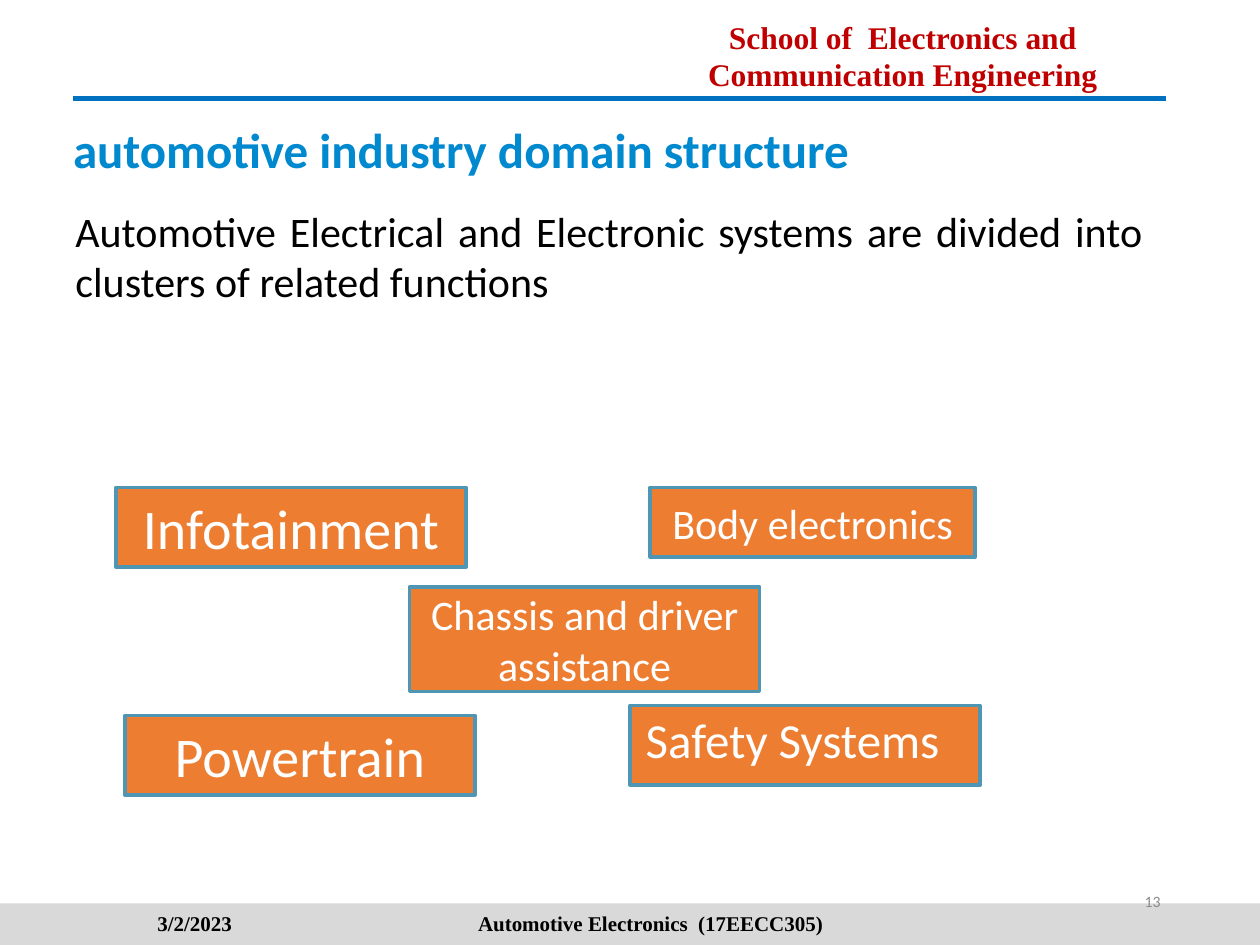
from dataclasses import dataclass

from lxml.etree import SubElement
from pptx import Presentation
from pptx.dml.color import RGBColor
from pptx.enum.shapes import MSO_CONNECTOR, MSO_SHAPE
from pptx.enum.text import MSO_ANCHOR, PP_ALIGN
from pptx.oxml.ns import qn
from pptx.util import Inches, Pt

COLUMNS, ROWS = 100, 75
SLIDE_WIDTH, SLIDE_HEIGHT = Inches(10), Inches(7.5)


@dataclass(frozen=True)
class Theme:
    """Colours, fonts and type sizes of the slide."""
    school: str = "C00000"
    rule: str = "0070C0"
    band: str = "D9D9D9"
    title: str = "0089CF"
    tile: str = "ED7D31"
    tile_edge: str = "4F96B4"
    ink: str = "000000"
    paper: str = "FFFFFF"
    muted: str = "8C8C8C"
    sans: str = "Calibri"
    serif: str = "Times New Roman"
    number_size: float = 9
    footer_size: float = 12
    school_size: float = 18
    body_size: float = 24
    title_size: float = 28
    large_size: float = 32


THEME = Theme()


@dataclass(frozen=True)
class Box:
    """A rectangle in grid columns and rows."""
    left: float
    top: float
    width: float
    height: float

    def inside(self, left, top, width, height):
        """Return a box offset from this one's top left corner."""
        return Box(self.left + left, self.top + top, width, height)

    def lengths(self):
        """Return left, top, width and height as slide lengths."""
        column, row = SLIDE_WIDTH / COLUMNS, SLIDE_HEIGHT / ROWS
        return (round(self.left * column), round(self.top * row),
                round(self.width * column), round(self.height * row))


def write(shape, text, size, color, font=THEME.sans, bold=False,
          align=PP_ALIGN.LEFT, anchor=MSO_ANCHOR.TOP, margins=(0.1, 0.05, 0.1, 0.05)):
    """Set and format the single paragraph of a shape."""
    frame = shape.text_frame
    frame.word_wrap = True
    frame.vertical_anchor = anchor
    (frame.margin_left, frame.margin_top,
     frame.margin_right, frame.margin_bottom) = map(Inches, margins)
    frame.text = text
    para = frame.paragraphs[0]
    para.alignment = align
    for span in para.runs:
        span.font.name = font
        span.font.size = Pt(size)
        span.font.bold = bold
        span.font.color.rgb = RGBColor.from_string(color)
    return para


def add_text(page, box, text, size, color, **style):
    """Add a text box and return its paragraph."""
    return write(page.shapes.add_textbox(*box.lengths()), text, size, color, **style)


def add_panel(page, box, fill, edge=None):
    """Add a flat rectangle with an optional outline."""
    panel = page.shapes.add_shape(MSO_SHAPE.RECTANGLE, *box.lengths())
    panel.shadow.inherit = False
    panel.fill.solid()
    panel.fill.fore_color.rgb = RGBColor.from_string(fill)
    if edge:
        panel.line.color.rgb = RGBColor.from_string(edge)
        panel.line.width = Pt(2)
    else:
        panel.line.fill.background()
    return panel


def add_header(page, box):
    """Place the school name above a rule along the box's lower edge."""
    add_text(page, box.inside(44.2, 0, 43.3, 6.9),
             "School of  Electronics and Communication Engineering",
             THEME.school_size, THEME.school, font=THEME.serif, bold=True,
             align=PP_ALIGN.CENTER)
    left, top, width, height = box.lengths()
    rule = page.shapes.add_connector(MSO_CONNECTOR.STRAIGHT, left, top + height,
                                     left + width, top + height)
    rule.line.color.rgb = RGBColor.from_string(THEME.rule)
    rule.line.width = Pt(3)
    SubElement(rule.element.spPr, qn("a:effectLst"))


def add_footer(page, box):
    """Place the band with date and course, and the page number."""
    add_panel(page, box, THEME.band)
    labels = [("3/2/2023", 1.7, 27.5),
              ("Automotive Electronics  (17EECC305)", 33.3, 36.7)]
    for text, left, width in labels:
        add_text(page, box.inside(left, -0.4, width, 4), text,
                 THEME.footer_size, THEME.ink, font=THEME.serif, bold=True,
                 align=PP_ALIGN.CENTER, anchor=MSO_ANCHOR.MIDDLE)
    add_text(page, box.inside(70.6, -2.2, 22.5, 4), "13",
             THEME.number_size, THEME.muted,
             align=PP_ALIGN.RIGHT, anchor=MSO_ANCHOR.MIDDLE)


def add_statement(page, box):
    """Place the title and the sentence below it."""
    title = add_text(page, box.inside(0.8, 0, 68.3, 8),
                     "automotive industry domain structure",
                     THEME.title_size, THEME.title, bold=True, margins=(0, 0, 0, 0))
    title.line_spacing = 0.9
    add_text(page, box.inside(0, 5.8, box.width, 9.1),
             "Automotive Electrical and Electronic systems are divided into "
             "clusters of related functions",
             THEME.body_size, THEME.ink, align=PP_ALIGN.JUSTIFY)


def add_domains(page, box):
    """Place the tiles that name the functional domains."""
    wide, tall = 27.8, 6.3
    even, shifted = (0.05,) * 4, (0.05, 0.05, 0.25, 0.15)
    tiles = [
        ("Infotainment", (0, 0, wide, tall), THEME.large_size, even),
        ("Body electronics", (42.4, 0, 25.8, 5.5), THEME.body_size, even),
        ("Powertrain", (0.7, 18.1, wide, tall), THEME.large_size, even),
        ("Safety Systems", (40.8, 17.3, wide, tall), THEME.title_size, shifted),
        ("Chassis and driver assistance", (23.3, 7.9, wide, 8.3),
         THEME.body_size, even),
    ]
    for text, place, size, margins in tiles:
        tile = add_panel(page, box.inside(*place), THEME.tile, THEME.tile_edge)
        write(tile, text, size, THEME.paper, align=PP_ALIGN.CENTER,
              anchor=MSO_ANCHOR.MIDDLE, margins=margins)


def main():
    """Build the slide and save the deck."""
    deck = Presentation()
    deck.slide_width, deck.slide_height = SLIDE_WIDTH, SLIDE_HEIGHT
    page = deck.slides.add_slide(deck.slide_layouts[6])
    add_header(page, Box(5.8, 0.9, 86.7, 6.9))
    add_footer(page, Box(0, 71.7, COLUMNS, 3.3))
    add_statement(page, Box(5, 10, 86.7, 14.9))
    add_domains(page, Box(9.2, 38.7, 68.6, 24.4))
    deck.save("out.pptx")


if __name__ == "__main__":
    main()
